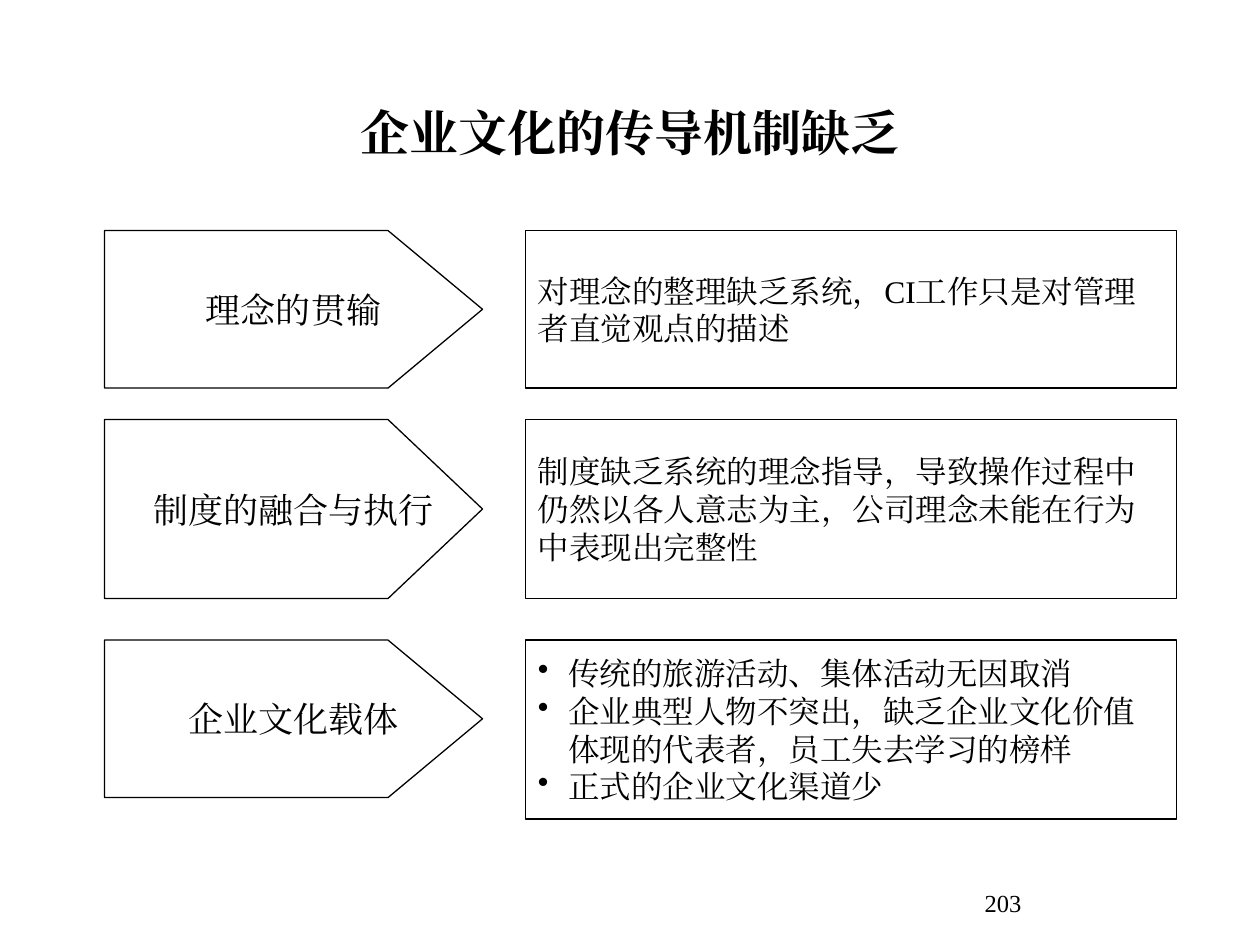
from lxml.etree import SubElement
from pptx import Presentation
from pptx.dml.color import RGBColor
from pptx.enum.shapes import MSO_SHAPE as Shape
from pptx.enum.text import MSO_ANCHOR as Anchor, PP_ALIGN as Align
from pptx.oxml.ns import qn
from pptx.util import Inches, Pt

BLACK = RGBColor(0, 0, 0)
WHITE = RGBColor(255, 255, 255)
FONT_NAME = "Times New Roman"

ARROW_LEFT, ARROW_WIDTH, TIP_WIDTH = 0.83, 3, 0.75
BOX_LEFT, BOX_WIDTH = 4.17, 5.17
BULLET_INDENT = 0.24

ROWS = [
    (1.83, 1.25, 1.25, "理念的贯输",
     ["对理念的整理缺乏系统，CI工作只是对管理者直觉观点的描述"]),
    (3.33, 1.42, 1.42, "制度的融合与执行",
     ["制度缺乏系统的理念指导，导致操作过程中仍然以各人意志为主，"
      "公司理念未能在行为中表现出完整性"]),
    (5.08, 1.25, 1.42, "企业文化载体",
     ["传统的旅游活动、集体活动无因取消",
      "企业典型人物不突出，缺乏企业文化价值体现的代表者，员工失去学习的榜样",
      "正式的企业文化渠道少"]),
]


class SlideBuilder:
    """Holds the text and outline style and draws elements on one slide."""

    def __init__(self, slide):
        self.slide = slide

    def fill_text(self, shape, lines, size, align, anchor=Anchor.MIDDLE,
                  wrap=True, bold=False, bulleted=False):
        frame = shape.text_frame
        frame_format = {
            "word_wrap": wrap, "vertical_anchor": anchor,
            "margin_left": Inches(0.1), "margin_right": Inches(0.1),
            "margin_top": Inches(0.05), "margin_bottom": Inches(0.05),
        }
        for name, value in frame_format.items():
            setattr(frame, name, value)
        for index, line in enumerate(lines):
            paragraph = frame.add_paragraph() if index else frame.paragraphs[0]
            paragraph.alignment = align
            if bulleted:
                self.add_bullet(paragraph)
            run = paragraph.add_run()
            run.text = line
            font_format = {"name": FONT_NAME, "size": Pt(size), "bold": bold}
            for name, value in font_format.items():
                setattr(run.font, name, value)
            run.font.color.rgb = BLACK
            SubElement(run._r.get_or_add_rPr(), qn("a:ea"), typeface=FONT_NAME)

    def add_bullet(self, paragraph):
        properties = paragraph._p.get_or_add_pPr()
        properties.set("marL", str(Inches(BULLET_INDENT)))
        properties.set("indent", str(-Inches(BULLET_INDENT)))
        SubElement(properties, qn("a:buChar"), char="•")

    def outline(self, shape):
        shape.shadow.inherit = False
        shape.fill.solid()
        shape.fill.fore_color.rgb = WHITE
        shape.line.color.rgb = BLACK
        shape.line.width = Pt(0.75)

    def title(self, text, left, top, width, height):
        shape = self.slide.shapes.title
        position = {"left": left, "top": top, "width": width, "height": height}
        for name, value in position.items():
            setattr(shape, name, Inches(value))
        self.fill_text(shape, [text], 28, Align.CENTER, bold=True)

    def arrow(self, text, top, height):
        shoulder = ARROW_LEFT + ARROW_WIDTH - TIP_WIDTH
        bottom = top + height
        points = [(shoulder, top), (ARROW_LEFT + ARROW_WIDTH, top + height / 2),
                  (shoulder, bottom), (ARROW_LEFT, bottom)]
        builder = self.slide.shapes.build_freeform(
            Inches(ARROW_LEFT), Inches(top))
        builder.add_line_segments([(Inches(x), Inches(y)) for x, y in points])
        shape = builder.convert_to_shape()
        self.outline(shape)
        self.fill_text(shape, [text], 20, Align.CENTER, wrap=False)

    def box(self, lines, top, height):
        shape = self.slide.shapes.add_shape(
            Shape.RECTANGLE, Inches(BOX_LEFT), Inches(top),
            Inches(BOX_WIDTH), Inches(height))
        self.outline(shape)
        self.fill_text(shape, lines, 18, Align.LEFT, bulleted=len(lines) > 1)

    def page_number(self, text, left, top, width, height):
        shape = self.slide.shapes.add_textbox(
            Inches(left), Inches(top), Inches(width), Inches(height))
        self.fill_text(shape, [text], 14, Align.CENTER, anchor=Anchor.TOP)


def main():
    presentation = Presentation()
    presentation.slide_width = Inches(10)
    presentation.slide_height = Inches(7.5)
    title_only = presentation.slide_layouts[5]
    builder = SlideBuilder(presentation.slides.add_slide(title_only))

    builder.title("企业文化的传导机制缺乏", 0.75, 0.67, 8.5, 0.75)
    for top, arrow_height, _, label, _ in ROWS:
        builder.arrow(label, top, arrow_height)
    for top, _, box_height, _, lines in ROWS:
        builder.box(lines, top, box_height)
    builder.page_number("203", 6.42, 7, 3.08, 0.25)

    presentation.save("out.pptx")


if __name__ == "__main__":
    main()
